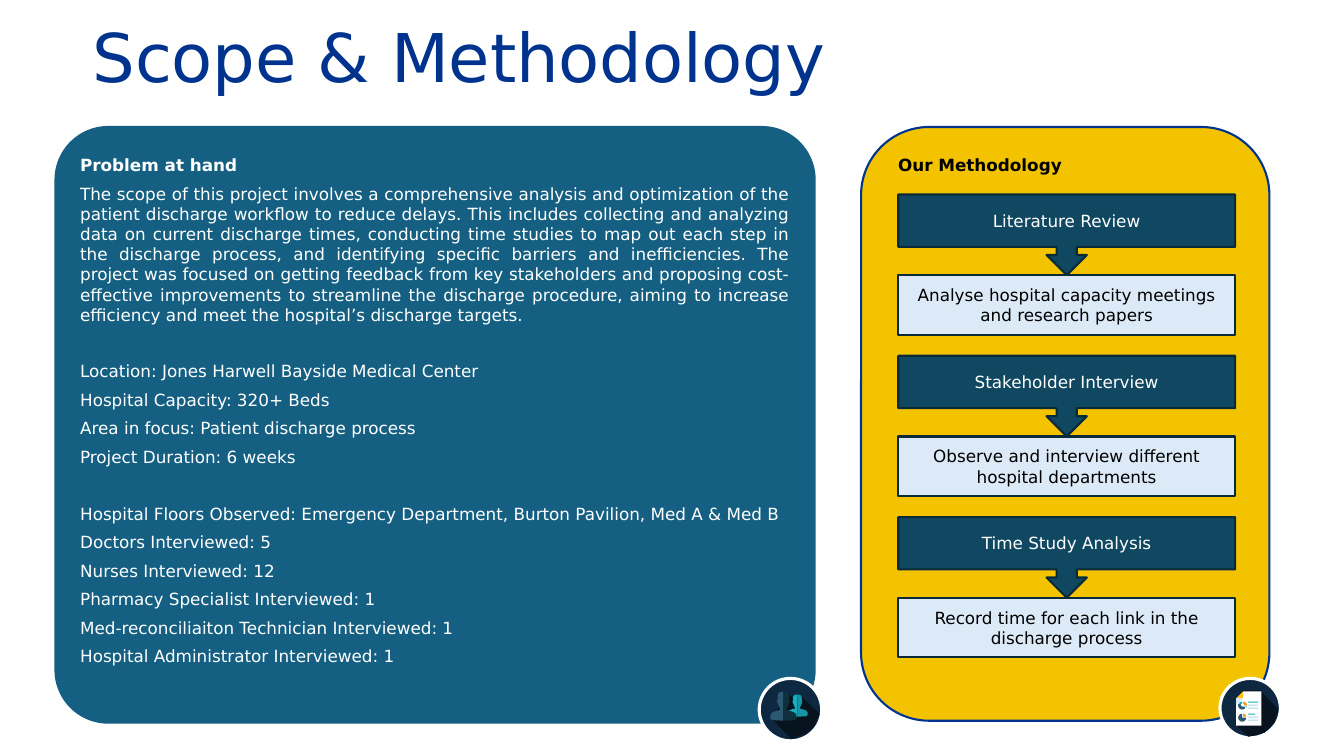
from pptx import Presentation
from pptx.dml.color import RGBColor
from pptx.enum.shapes import MSO_SHAPE as SHAPE
from pptx.enum.text import MSO_ANCHOR as ANCHOR, PP_ALIGN as ALIGN
from pptx.util import Inches, Pt

# Content
FONT = "DejaVu Sans"
TITLE = "Scope & Methodology"
SCOPE = [  # one list per block of paragraphs
    ["Problem at hand",
     "The scope of this project involves a comprehensive analysis and optimization of the "
     "patient discharge workflow to reduce delays. This includes collecting and analyzing data "
     "on current discharge times, conducting time studies to map out each step in the discharge "
     "process, and identifying specific barriers and inefficiencies. The project was focused on "
     "getting feedback from key stakeholders and proposing cost-effective improvements to "
     "streamline the discharge procedure, aiming to increase efficiency and meet the hospital’s "
     "discharge targets."],
    ["Location: Jones Harwell Bayside Medical Center",
     "Hospital Capacity: 320+ Beds",
     "Area in focus: Patient discharge process",
     "Project Duration: 6 weeks"],
    ["Hospital Floors Observed: Emergency Department, Burton Pavilion, Med A & Med B",
     "Doctors Interviewed: 5",
     "Nurses Interviewed: 12",
     "Pharmacy Specialist Interviewed: 1",
     "Med-reconciliaiton Technician Interviewed: 1",
     "Hospital Administrator Interviewed: 1"],
]
METHOD_HEAD = "Our Methodology"
STEPS = [
    ("Literature Review", "Analyse hospital capacity meetings and research papers"),
    ("Stakeholder Interview", "Observe and interview different hospital departments"),
    ("Time Study Analysis", "Record time for each link in the discharge process"),
]

# Step grid, in inches
STEP_X, STEP_Y, STEP_W, STEP_PITCH = 8.91, 1.93, 3.34, 1.6
CALL_H, BOX_H = 0.8, 0.59

# Icon geometry, in inches
PEOPLE_SHADE = [(7.82, 6.88), (7.87, 6.94), (7.9, 6.9), (7.95, 6.91), (8.13, 7.08),
                (8.08, 7.2), (7.99, 7.28), (7.85, 7.33), (7.65, 7.13)]
PAPER_SHADE = [(12.32, 6.85), (12.5, 6.85), (12.68, 7.04), (12.64, 7.17), (12.54, 7.27),
               (12.38, 7.31), (12.25, 7.18)]
PAPER = [(12.33, 6.86), (12.51, 6.86), (12.51, 7.2), (12.26, 7.2), (12.26, 6.93)]
FOLD = [(12.33, 6.86), (12.33, 6.93), (12.26, 6.93)]
FOLD_SHADE = [(12.26, 6.93), (12.33, 6.93), (12.26, 6.99)]
# Half of a bust, as shares of its half width and height
BUST = [(0, 0), (.28, .02), (.42, .1), (.44, .27), (.48, .3), (.46, .4), (.4, .42), (.34, .52),
        (.24, .58), (.24, .63), (.5, .66), (.85, .72), (1, .8), (1, .92), (.88, .98), (0, 1)]
PEOPLE = [  # centre, top, half width, height, left and right colour
    (7.91, 6.89, 0.1, 0.22, "15B0BF", "1695A4"),
    (7.77, 6.86, 0.13, 0.29, "2C5871", "0E303F"),
]
SLICES = [  # centre, radius, start and end angle, colour
    (12.32, 7.0, 0.04, 35, 215, "2C5871"), (12.32, 7.0, 0.04, 220, 270, "15B0BF"),
    (12.33, 7.0, 0.04, 270, 360, "F99B1C"), (12.33, 7.0, 0.04, 0, 35, "A6DAE9"),
    (12.32, 7.12, 0.04, 0, 270, "2C5871"), (12.33, 7.11, 0.03, 270, 360, "F99B1C"),
]
TEXT_LINES = [(6.96, 0.1, "15B0BF"), (6.99, 0.1, "A6DAE9"), (7.02, 0.1, "A6DAE9"),
              (7.08, 0.07, "15B0BF"), (7.11, 0.1, "A6DAE9"), (7.14, 0.1, "A6DAE9")]


def color(hex_text):
    return RGBColor.from_string(hex_text)


def paint(sp, fill, line=None, width=1.5):
    sp.shadow.inherit = False
    sp.fill.solid()
    sp.fill.fore_color.rgb = color(fill)
    if line:
        sp.line.color.rgb = color(line)
        sp.line.width = Pt(width)
    else:
        sp.line.fill.background()
    return sp


def shape(shapes, kind, box, fill, line=None, width=1.5):
    return paint(shapes.add_shape(kind, *map(Inches, box)), fill, line, width)


def outline(shapes, points, fill):
    mils = [(round(x * 1000), round(y * 1000)) for x, y in points]
    builder = shapes.build_freeform(*mils[0], scale=914.4)
    builder.add_line_segments(mils[1:], close=True)
    return paint(builder.convert_to_shape(), fill)


def style(p, ink, size=12, bold=False, align=ALIGN.CENTER):
    p.alignment = align
    for r in p.runs:
        r.font.name, r.font.size, r.font.bold = FONT, Pt(size), bold
        r.font.color.rgb = color(ink)


def write(sp, text, ink, **look):
    tf = sp.text_frame
    tf.word_wrap, tf.vertical_anchor = True, ANCHOR.MIDDLE
    tf.text = text
    style(tf.paragraphs[0], ink, **look)
    return tf


prs = Presentation()
prs.slide_width, prs.slide_height = Inches(13.33), Inches(7.5)
s = prs.slides.add_slide(prs.slide_layouts[6])

# Title
title = s.shapes.add_textbox(*map(Inches, (0.92, 0.25, 11.5, 0.8)))
tf = write(title, TITLE, "00338D", size=48, align=ALIGN.LEFT)
tf.margin_left = tf.margin_right = tf.margin_top = tf.margin_bottom = 0
tf.paragraphs[0].line_spacing = 0.7
tf.paragraphs[0].runs[0].font._element.set("spc", "-10")

# Panels
shape(s.shapes, SHAPE.ROUNDED_RECTANGLE, (8.54, 1.26, 4.05, 5.89), "F3C300", "00338D")
scope = shape(s.shapes, SHAPE.ROUNDED_RECTANGLE, (0.54, 1.25, 7.55, 5.93), "156082")
scope.adjustments[0] = 0.09

# Scope text
tf = scope.text_frame
tf.word_wrap, tf.vertical_anchor = True, ANCHOR.MIDDLE
tf.margin_bottom = Inches(0.33)
for b, block in enumerate(SCOPE):
    for i, text in enumerate(block):
        first = b == i == 0
        p = tf.paragraphs[0] if first else tf.add_paragraph()
        p.text = text
        p.space_before = Pt(26 if b and i == 0 else 6)
        style(p, "FFFFFF", bold=first, align=ALIGN.JUSTIFY)

# Methodology steps
head = s.shapes.add_textbox(*map(Inches, (8.42, 1.44, 2.6, 0.4)))
write(head, METHOD_HEAD, "000000", bold=True)
for i, (name, detail) in enumerate(STEPS):
    y = STEP_Y + i * STEP_PITCH
    call = shape(s.shapes, SHAPE.DOWN_ARROW_CALLOUT, (STEP_X, y, STEP_W, CALL_H),
                 "104862", "092A39")
    write(call, name, "FFFFFF")
    box = shape(s.shapes, SHAPE.RECTANGLE, (STEP_X, y + CALL_H, STEP_W, BOX_H),
                "DCEAF7", "092A39")
    write(box, detail, "000000")

# Report icon
report = s.shapes.add_group_shape().shapes
shape(report, SHAPE.OVAL, (12.1, 6.73, 0.6, 0.59), "0E2841", "FFFFFF", 2.25)
for points, fill in ((PAPER_SHADE, "071420"), (PAPER, "FFFFFF"), (FOLD, "FEC00F"),
                     (FOLD_SHADE, "D1ECFB")):
    outline(report, points, fill)
for x, y, radius, start, end, fill in SLICES:
    pie = shape(report, SHAPE.PIE, (x - radius, y - radius, 2 * radius, 2 * radius), fill)
    pie.adjustments[0], pie.adjustments[1] = start * 0.6, end * 0.6
shape(report, SHAPE.OVAL, (12.31, 6.98, 0.03, 0.03), "FFFFFF")
for y, width, fill in TEXT_LINES:
    shape(report, SHAPE.RECTANGLE, (12.38, y, width, 0.01), fill)

# People icon
people = s.shapes.add_group_shape().shapes
shape(people, SHAPE.OVAL, (7.53, 6.73, 0.62, 0.62), "0E2841", "FFFFFF", 2.25)
outline(people, PEOPLE_SHADE, "071420")
for x, y, half, height, left, right in PEOPLE:
    for side, fill in ((-1, left), (1, right)):
        outline(people, [(x + side * half * u, y + height * v) for u, v in BUST], fill)

prs.save("out.pptx")
